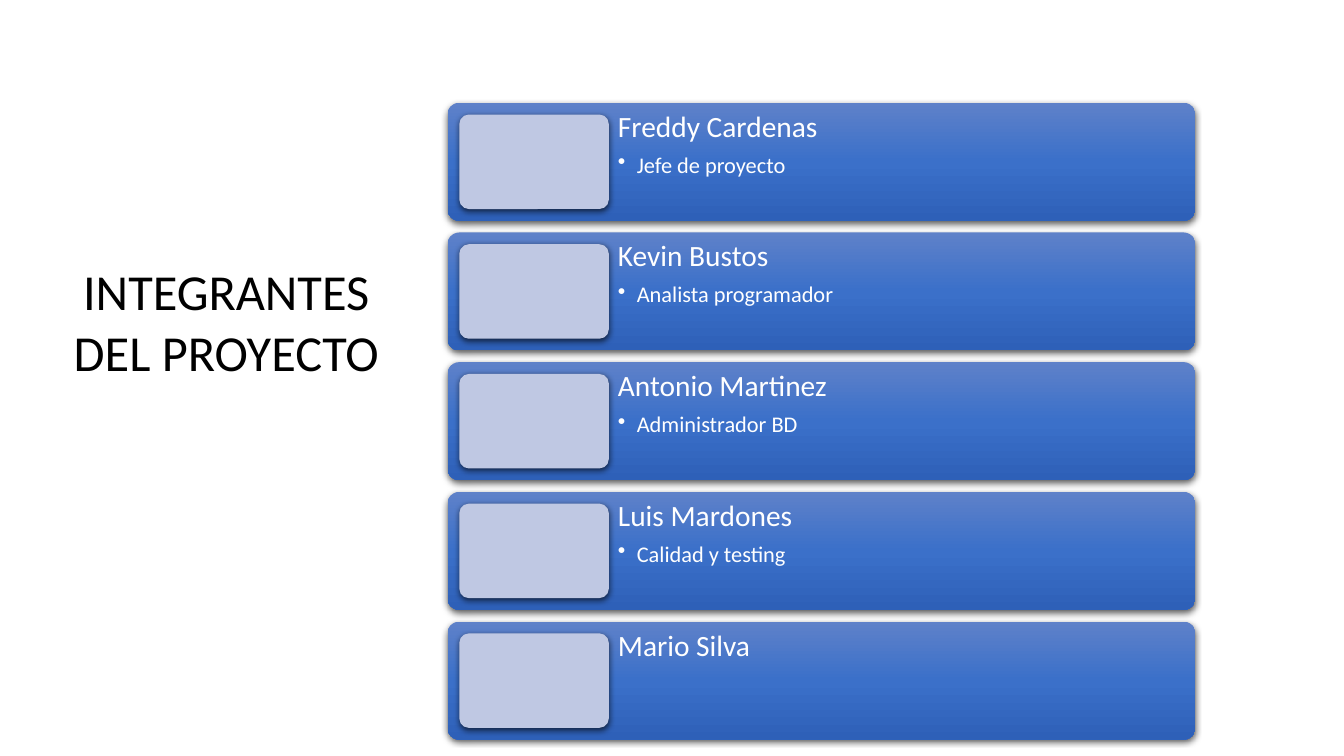
from copy import deepcopy

from lxml.etree import SubElement
from pptx import Presentation
from pptx.dml.color import RGBColor
from pptx.enum.shapes import MSO_SHAPE as Shape
from pptx.enum.text import MSO_ANCHOR as Anchor, MSO_AUTO_SIZE as AutoSize, PP_ALIGN as Align
from pptx.oxml.ns import qn
from pptx.util import Pt

COLORS = {
    "title": "000000",
    "card_top": "5E81C9",
    "card_middle": "3B70C9",
    "card_bottom": "2E60B8",
    "photo": "BFC8E3",
    "card_text": "FFFFFF",
    "shadow": "000000",
}
FONT = "Calibri"
MEMBERS = [
    ("Freddy Cardenas", "Jefe de proyecto"),
    ("Kevin Bustos", "Analista programador"),
    ("Antonio Martinez", "Administrador BD"),
    ("Luis Mardones", "Calidad y testing"),
    ("Mario Silva", None),
]
TITLE_BOX = (44, 182.2, 235.4, 94.3)
MEMBERS_BOX = (319.7, 73.4, 534.2, 454.9)
CARD_HEIGHT = 84.3
PHOTO_WIDTH = 106.8
PHOTO_MARGIN = 8.4
TEXT_INSET = 6.5
BULLET_INDENT = 13.5


def color(name):
    return RGBColor.from_string(COLORS[name])


def format_runs(para, size, color_name):
    for span in para.runs:
        span.font.name = FONT
        span.font.size = Pt(size)
        span.font.color.rgb = color(color_name)


def add_shadow(shape):
    shape.shadow.inherit = False
    effects = shape._element.spPr.find(qn("a:effectLst"))
    shadow = SubElement(effects, qn("a:outerShdw"), blurRad=str(Pt(4.5)),
                        dist=str(Pt(1.5)), dir="5400000", algn="ctr", rotWithShape="0")
    tone = SubElement(shadow, qn("a:srgbClr"), val=COLORS["shadow"])
    SubElement(tone, qn("a:alpha"), val="63000")


def add_rounded_panel(page, box):
    panel = page.shapes.add_shape(Shape.ROUNDED_RECTANGLE, *map(Pt, box))
    panel.adjustments[0] = 0.1
    panel.line.fill.background()
    add_shadow(panel)
    return panel


def fill_card_gradient(card):
    card.fill.gradient()
    card.fill.gradient_angle = 270
    stop_list = card._element.spPr.find(".//" + qn("a:gsLst"))
    stop_list.append(deepcopy(stop_list[0]))
    names = ("card_top", "card_middle", "card_bottom")
    for index, (stop, name) in enumerate(zip(card.fill.gradient_stops, names)):
        stop.position = index / 2
        stop.color.rgb = color(name)


def add_bullet(para):
    properties = para._p.get_or_add_pPr()
    properties.set("marL", str(Pt(BULLET_INDENT)))
    properties.set("indent", str(-Pt(BULLET_INDENT)))
    bullet_color = SubElement(properties, qn("a:buClr"))
    SubElement(bullet_color, qn("a:srgbClr"), val=COLORS["card_text"])
    SubElement(properties, qn("a:buChar"), char="•")


def add_member_text(page, box, name, role):
    frame = page.shapes.add_textbox(*map(Pt, box)).text_frame
    frame.word_wrap = True
    frame.margin_left = frame.margin_right = Pt(TEXT_INSET)
    frame.margin_top = frame.margin_bottom = Pt(TEXT_INSET)
    name_para = frame.paragraphs[0]
    name_para.text = name
    name_para.line_spacing = 0.9
    format_runs(name_para, 21, "card_text")
    if role:
        role_para = frame.add_paragraph()
        role_para.text = role
        role_para.level = 1
        role_para.line_spacing = 0.9
        role_para.space_before = Pt(7.3)
        add_bullet(role_para)
        format_runs(role_para, 16, "card_text")


def add_member_card(page, box, name, role):
    left, top, width, height = box
    fill_card_gradient(add_rounded_panel(page, box))
    text_offset = PHOTO_MARGIN + PHOTO_WIDTH
    add_member_text(page, (left + text_offset, top, width - text_offset, height), name, role)
    photo = add_rounded_panel(page, (left + PHOTO_MARGIN, top + PHOTO_MARGIN,
                                     PHOTO_WIDTH, height - 2 * PHOTO_MARGIN))
    photo.fill.solid()
    photo.fill.fore_color.rgb = color("photo")


def add_member_cards(page, box):
    left, top, width, height = box
    pitch = (height - CARD_HEIGHT) / (len(MEMBERS) - 1)
    for index, (name, role) in enumerate(MEMBERS):
        add_member_card(page, (left, top + index * pitch, width, CARD_HEIGHT), name, role)


def add_title(page, box):
    title = page.shapes.title
    title.left, title.top, title.width, title.height = map(Pt, box)
    frame = title.text_frame
    frame.text = "INTEGRANTES DEL PROYECTO"
    frame.word_wrap = True
    frame.auto_size = AutoSize.SHAPE_TO_FIT_TEXT
    frame.vertical_anchor = Anchor.TOP
    frame.paragraphs[0].alignment = Align.CENTER
    format_runs(frame.paragraphs[0], 36, "title")


def main():
    deck = Presentation()
    deck.slide_width, deck.slide_height = Pt(960), Pt(540)
    page = deck.slides.add_slide(deck.slide_layouts[5])
    add_title(page, TITLE_BOX)
    add_member_cards(page, MEMBERS_BOX)
    deck.save("out.pptx")


if __name__ == "__main__":
    main()
